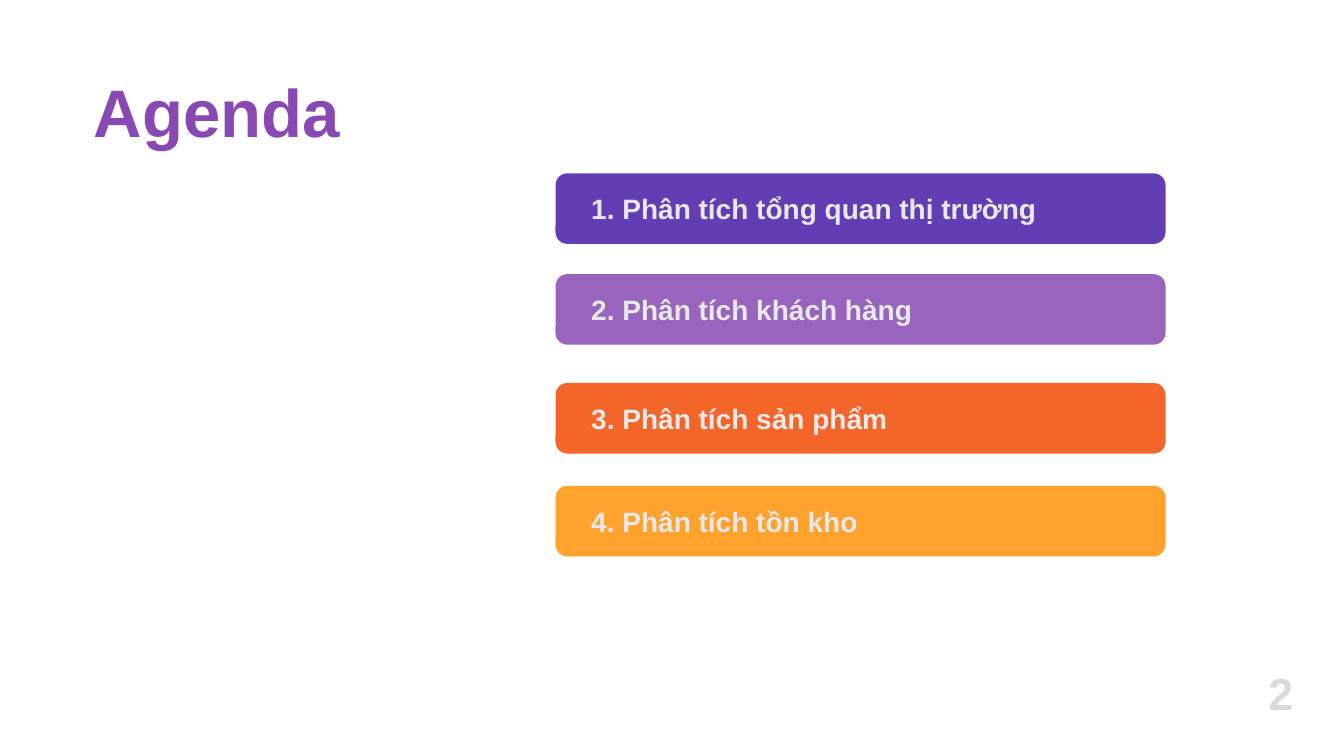
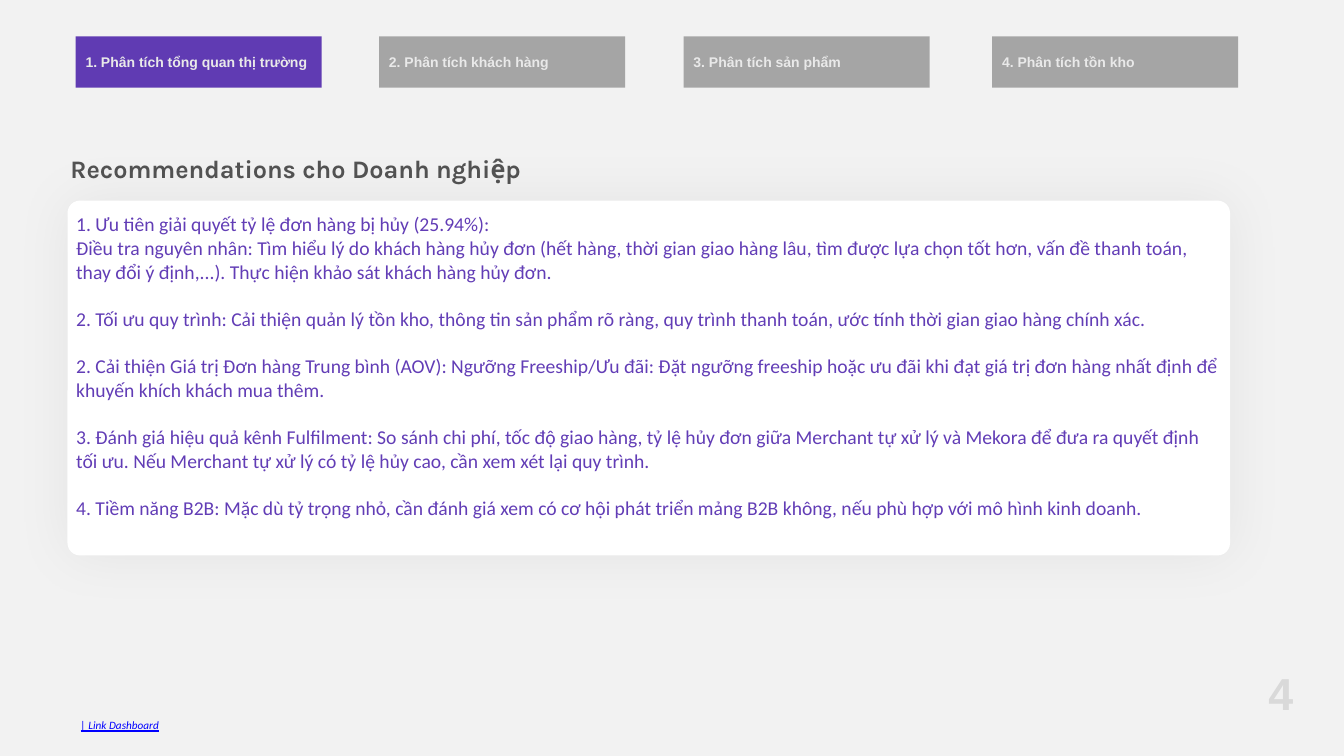
from pptx import Presentation
from pptx.dml.color import RGBColor
from pptx.enum.shapes import MSO_SHAPE
from pptx.enum.text import MSO_ANCHOR, PP_ALIGN
from pptx.oxml import parse_xml
from pptx.oxml.ns import nsdecls
from pptx.util import Inches, Pt
from lxml.etree import SubElement
from pptx.oxml.ns import qn

THEME = {
    "colors": {
        "white": "FFFFFF",
        "page": "F2F2F2",
        "sections": ["471CA8", "884AB2", "F24B04", "FF930A"],
        "inactive": "989898",
    },
    "opacity": 85,
    "text": {
        "title": ("884AB2", {"name": "Arial", "size": Pt(48), "bold": True}),
        "bar": ("E9E9E9", {"name": "Arial", "size": Pt(20), "bold": True}),
        "tab": ("E9E9E9", {"name": "Arial", "size": Pt(10), "bold": True}),
        "heading": ("535353", {"name": "Karla", "size": Pt(18), "bold": True}),
        "body": ("623DB6", {"name": "Calibri", "size": Pt(14)}),
        "number": ("D9D9D9", {"name": "Arial", "size": Pt(32), "bold": True}),
        "link": ("0000FF", {"name": "Calibri", "size": Pt(8), "italic": True, "underline": True}),
    },
}
COLORS = THEME["colors"]

SECTIONS = [
    "1. Phân tích tổng quan thị trường",
    "2. Phân tích khách hàng",
    "3. Phân tích sản phẩm",
    "4. Phân tích tồn kho",
]
RECOMMENDATIONS = [
    "1. Ưu tiên giải quyết tỷ lệ đơn hàng bị hủy (25.94%):",
    "Điều tra nguyên nhân: Tìm hiểu lý do khách hàng hủy đơn (hết hàng, thời gian giao hàng lâu, "
    "tìm được lựa chọn tốt hơn, vấn đề thanh toán, thay đổi ý định,...). "
    "Thực hiện khảo sát khách hàng hủy đơn.",
    "2. Tối ưu quy trình: Cải thiện quản lý tồn kho, thông tin sản phẩm rõ ràng, "
    "quy trình thanh toán, ước tính thời gian giao hàng chính xác.",
    "2. Cải thiện Giá trị Đơn hàng Trung bình (AOV): Ngưỡng Freeship/Ưu đãi: Đặt ngưỡng freeship "
    "hoặc ưu đãi khi đạt giá trị đơn hàng nhất định để khuyến khích khách mua thêm.",
    "3. Đánh giá hiệu quả kênh Fulfilment: So sánh chi phí, tốc độ giao hàng, tỷ lệ hủy đơn giữa "
    "Merchant tự xử lý và Mekora để đưa ra quyết định tối ưu. "
    "Nếu Merchant tự xử lý có tỷ lệ hủy cao, cần xem xét lại quy trình.",
    "4. Tiềm năng B2B: Mặc dù tỷ trọng nhỏ, cần đánh giá xem có cơ hội phát triển mảng B2B không, "
    "nếu phù hợp với mô hình kinh doanh.",
]


def write_text(shape, lines, style, insets=(0.1, 0.05, 0.1, 0.05), anchor=MSO_ANCHOR.TOP,
               align=PP_ALIGN.LEFT, wrap=True):
    frame = shape.text_frame
    left, top, right, bottom = [Inches(inset) for inset in insets]
    frame_format = {
        "margin_left": left, "margin_top": top, "margin_right": right, "margin_bottom": bottom,
        "vertical_anchor": anchor, "word_wrap": wrap,
    }
    for name, value in frame_format.items():
        setattr(frame, name, value)
    color, font_format = THEME["text"][style]
    for index, line in enumerate(lines):
        paragraph = frame.add_paragraph() if index else frame.paragraphs[0]
        paragraph.alignment = align
        run = paragraph.add_run()
        run.text = line
        for name, value in font_format.items():
            setattr(run.font, name, value)
        run.font.color.rgb = RGBColor.from_string(color)


def add_panel(slide, kind, box, color, opacity=100, corner=None):
    shape = slide.shapes.add_shape(kind, *[Inches(length) for length in box])
    shape.shadow.inherit = False
    shape.fill.solid()
    shape.fill.fore_color.rgb = RGBColor.from_string(color)
    shape.line.fill.background()
    if corner is not None:
        shape.adjustments[0] = corner
    if opacity < 100:
        fill_color = shape.fill._xPr.find(qn("a:solidFill"))[0]
        SubElement(fill_color, qn("a:alpha")).set("val", str(opacity * 1000))
    return shape


presentation = Presentation()
presentation.slide_width = Inches(13.33)
presentation.slide_height = Inches(7.5)
blank = presentation.slide_layouts[6]

slides = []
for number, background in [("2", COLORS["white"]), ("4", COLORS["page"])]:
    slide = presentation.slides.add_slide(blank)
    slide.background.fill.solid()
    slide.background.fill.fore_color.rgb = RGBColor.from_string(background)
    number_box = slide.shapes.add_textbox(Inches(12.4), Inches(6.56), Inches(0.61), Inches(0.63))
    write_text(number_box, [number], "number", insets=(0.05,) * 4, anchor=MSO_ANCHOR.MIDDLE,
               align=PP_ALIGN.CENTER, wrap=False)
    slides.append(slide)
agenda, recommendations = slides

title = agenda.shapes.add_textbox(Inches(0.83), Inches(0.65), Inches(6.67), Inches(0.91))
write_text(title, ["Agenda"], "title")

for section, color, top in zip(SECTIONS, COLORS["sections"], [1.72, 2.72, 3.8, 4.82]):
    bar = add_panel(agenda, MSO_SHAPE.ROUNDED_RECTANGLE, (5.51, top, 6.05, 0.7), color,
                    THEME["opacity"], corner=0.167)
    write_text(bar, [section], "bar", insets=(0.32, 0.05, 0.1, 0.05), anchor=MSO_ANCHOR.MIDDLE)

for index, (section, left) in enumerate(zip(SECTIONS, [0.75, 3.76, 6.78, 9.84])):
    color = COLORS["inactive"] if index else COLORS["sections"][0]
    tab = add_panel(recommendations, MSO_SHAPE.RECTANGLE, (left, 0.36, 2.44, 0.51), color,
                    THEME["opacity"])
    write_text(tab, [section], "tab", insets=(0.1, 0.05, 0, 0.05), anchor=MSO_ANCHOR.MIDDLE)

heading = recommendations.shapes.add_textbox(Inches(0.6), Inches(1.47), Inches(6.67), Inches(0.4))
write_text(heading, ["Recommendations cho Doanh nghiệp"], "heading")

card = add_panel(recommendations, MSO_SHAPE.ROUNDED_RECTANGLE, (0.67, 1.99, 11.53, 3.52),
                 COLORS["white"], corner=0.035)
card_effects = card._element.spPr.find(qn("a:effectLst"))
card_effects.append(parse_xml(
    f'<a:outerShdw {nsdecls("a")} blurRad="{Pt(41)}" dist="0" dir="0" algn="ctr" rotWithShape="0">'
    '<a:srgbClr val="000000"><a:alpha val="5000"/></a:srgbClr></a:outerShdw>'
))
write_text(card, RECOMMENDATIONS, "body", insets=(0.05, 0.05, 0.05, 0.29),
           anchor=MSO_ANCHOR.MIDDLE)
for paragraph in card.text_frame.paragraphs[2:]:
    paragraph.space_before = Pt(17)

link = recommendations.shapes.add_textbox(Inches(0.75), Inches(7.08), Inches(2.08), Inches(0.24))
write_text(link, ["| Link Dashboard"], "link", insets=(0.05,) * 4)

presentation.save("out.pptx")
